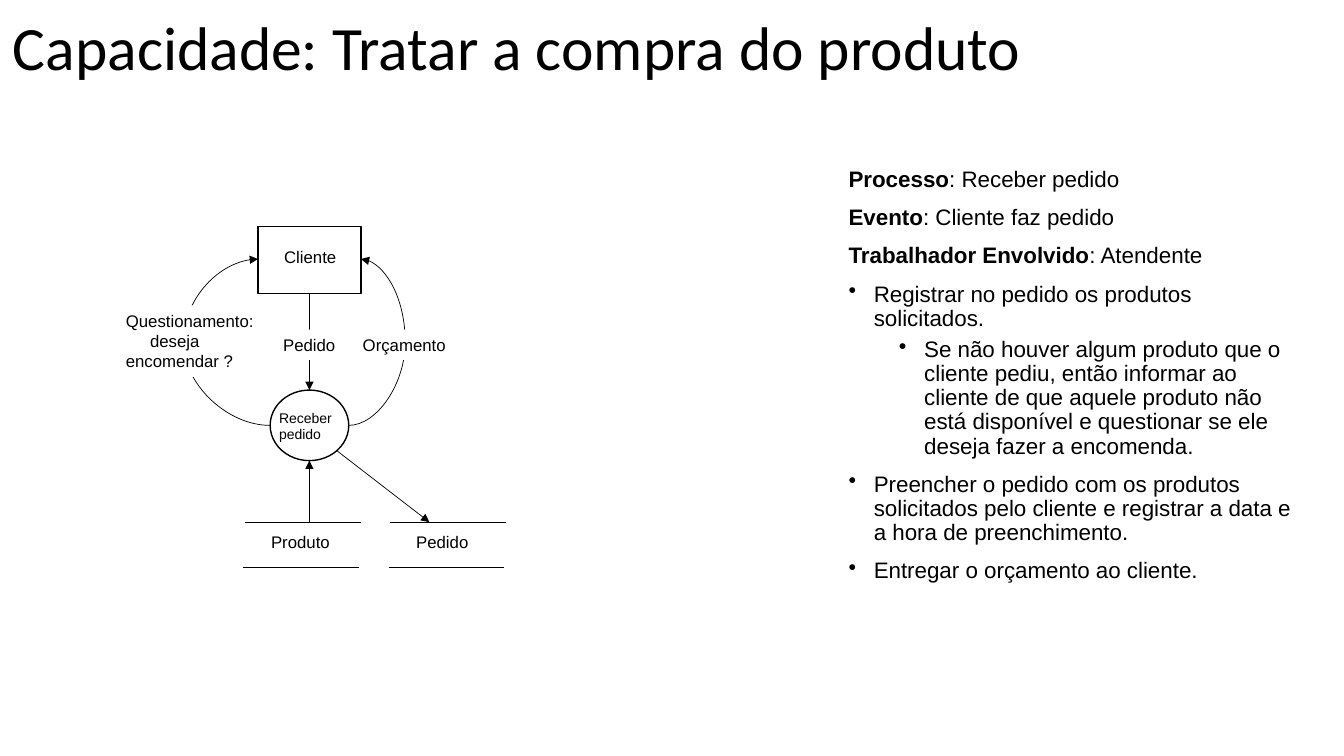
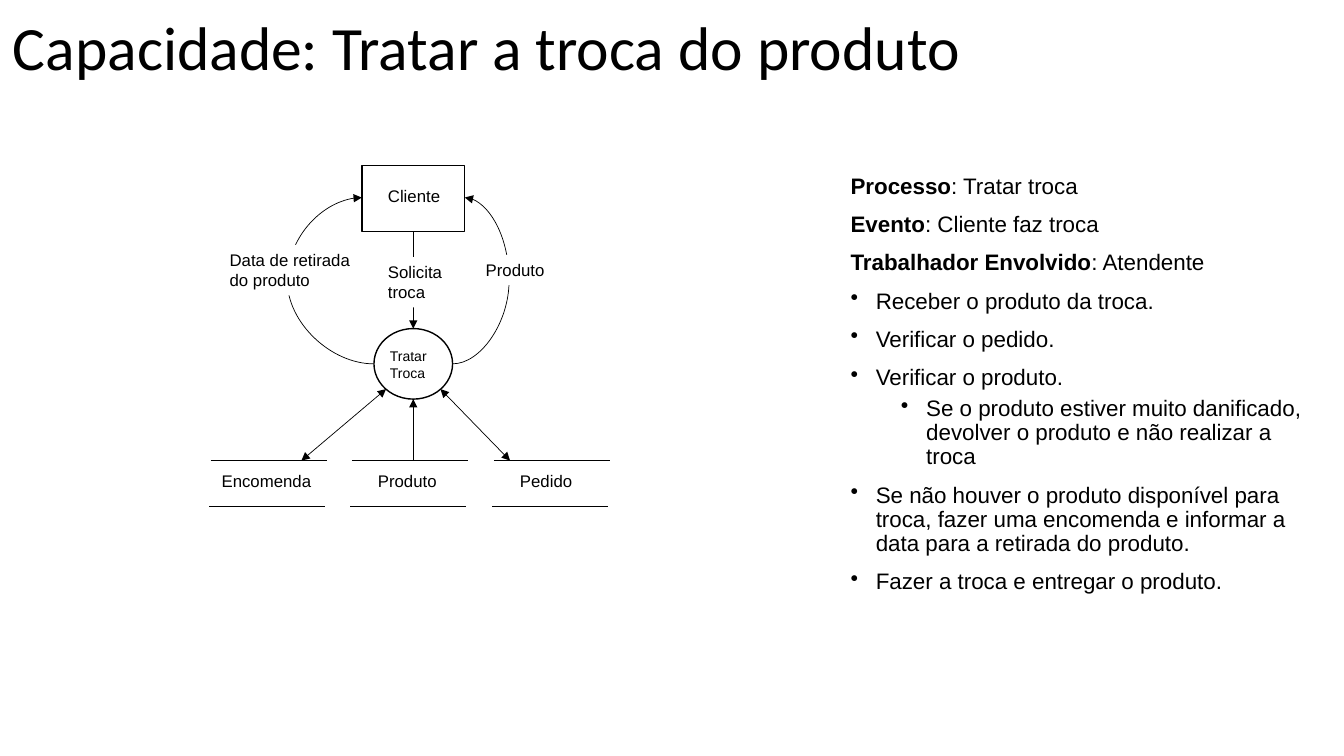
from lxml.etree import SubElement
from pptx import Presentation
from pptx.dml.color import RGBColor
from pptx.enum.shapes import MSO_CONNECTOR, MSO_SHAPE
from pptx.enum.text import MSO_ANCHOR, MSO_AUTO_SIZE, PP_ALIGN
from pptx.oxml.ns import qn
from pptx.util import Inches, Pt


def color(hex_code):
    return RGBColor.from_string(hex_code)


def grid(cells):
    """Length of a number of grid cells; columns and rows are a tenth of an inch."""
    return Inches(cells / 10)


class Deck:
    INK, PAPER = "000000", "FFFFFF"
    TITLE_FONT, BODY_FONT = "Calibri", "Arial"
    TITLE_SIZE, BODY_SIZE, LABEL_SIZE, PROCESS_SIZE = 44, 16, 12, 10
    OUTLINE, THIN = 1, 0.5

    def __init__(self):
        self.prs = Presentation()
        self.prs.slide_width, self.prs.slide_height = grid(133.33), grid(75)
        self.shapes = None
        self.origin = (0, 0)

    def new_slide(self):
        self.shapes = self.prs.slides.add_slide(self.prs.slide_layouts[6]).shapes
        self.origin = (0, 0)

    def place(self, col, row):
        return grid(self.origin[0] + col), grid(self.origin[1] + row)

    def run(self, paragraph, text, size, font=BODY_FONT, bold=False):
        run = paragraph.add_run()
        run.text = text
        run.font.name, run.font.size, run.font.bold = font, Pt(size), bold
        run.font.color.rgb = color(self.INK)

    def text_box(self, col, row, width, height):
        box = self.shapes.add_textbox(*self.place(col, row), grid(width), grid(height))
        box.text_frame.word_wrap = True
        return box

    def title(self, text):
        frame = self.text_box(0.3, 0.7, 115, 8.6).text_frame
        frame.vertical_anchor = MSO_ANCHOR.MIDDLE
        frame.paragraphs[0].line_spacing = 0.9
        self.run(frame.paragraphs[0], text, self.TITLE_SIZE, self.TITLE_FONT)

    def description(self, col, row, facts, steps):
        """Facts are (name, value) pairs; steps are (level, text) bullets."""
        frame = self.text_box(col, row, 47.4, 47.6).text_frame
        entries = [(None, fact) for fact in facts] + steps
        for index, (level, content) in enumerate(entries):
            paragraph = frame.add_paragraph() if index else frame.paragraphs[0]
            paragraph.line_spacing = 0.9
            paragraph.space_before = Pt(5 if level else 10)
            if level is None:
                name, value = content
                self.run(paragraph, name, self.BODY_SIZE, bold=True)
                self.run(paragraph, f": {value}", self.BODY_SIZE)
            else:
                paragraph.level = level
                self.indent(paragraph, 2.5 + 5 * level, -2.5)
                bullet = SubElement(paragraph._p.get_or_add_pPr(), qn("a:buChar"))
                bullet.set("char", "•")
                self.run(paragraph, content, self.BODY_SIZE)

    def indent(self, paragraph, left, first=0):
        properties = paragraph._p.get_or_add_pPr()
        properties.set("marL", str(grid(left)))
        properties.set("indent", str(grid(first)))

    def label(self, col, row, width, height, *lines, size=LABEL_SIZE,
              filled=True, align=PP_ALIGN.LEFT):
        """Lines are texts, or (text, indent) pairs."""
        box = self.text_box(col, row, width, height)
        if filled:
            box.fill.solid()
            box.fill.fore_color.rgb = color(self.PAPER)
        frame = box.text_frame
        frame.auto_size = MSO_AUTO_SIZE.SHAPE_TO_FIT_TEXT
        for index, line in enumerate(lines):
            text, left = line if isinstance(line, tuple) else (line, 0)
            paragraph = frame.add_paragraph() if index else frame.paragraphs[0]
            paragraph.alignment = align
            if left:
                self.indent(paragraph, left)
            self.run(paragraph, text, size)

    def outline(self, preset, col, row, width, height):
        shape = self.shapes.add_shape(
            preset, *self.place(col, row), grid(width), grid(height))
        shape.shadow.inherit = False
        shape.fill.background()
        shape.line.color.rgb = color(self.INK)
        shape.line.width = Pt(self.OUTLINE)

    def connector(self, kind, start, end, heads):
        connector = self.shapes.add_connector(
            kind, *self.place(*start), *self.place(*end))
        connector.line.color.rgb = color(self.INK)
        connector.line.width = Pt(self.THIN)
        for head in heads:
            SubElement(connector.line._get_or_add_ln(), qn(f"a:{head}")).set(
                "type", "triangle")
        SubElement(connector._element.spPr, qn("a:effectLst"))
        return connector

    def line(self, start, end, heads=()):
        self.connector(MSO_CONNECTOR.STRAIGHT, start, end, heads)

    def arc(self, start, end, bulge):
        """Curved arrow whose middle reaches the column given by bulge."""
        leftward = end[0] < start[0]
        ends = (end, start) if leftward else (start, end)
        connector = self.connector(MSO_CONNECTOR.CURVE, *ends, ARROW)
        if leftward:
            connector.rotation = 180
        share = (bulge - start[0]) / (end[0] - start[0])
        adjustments = connector._element.spPr.find(qn("a:prstGeom")).get_or_add_avLst()
        guide = SubElement(adjustments, qn("a:gd"))
        guide.set("name", "adj1")
        guide.set("fmla", f"val {round(share * 100000)}")

    def store(self, left, name, label_offset=1.6, label_width=9.2):
        """Data store: a name between two lines."""
        for col, row in ((left, 29.3), (left - 0.15, 33.8)):
            self.line((col, row), (col + 11.5, row))
        self.label(left + label_offset, 29.8, label_width, 3, name)

    def client_flow(self, center, top):
        """Client above a process, joined by a request and two answers.

        Later elements are placed from the middle of the client's top edge.
        """
        self.origin = (center, top)
        self.outline(MSO_SHAPE.RECTANGLE, -5.1, 0, 10.2, 6.6)
        self.outline(MSO_SHAPE.OVAL, -3.9, 16.2, 7.8, 7)
        self.line((0, 6.6), (0, 16.2), ARROW)
        for side, bulge in ((-1, 12.5), (1, 9.5)):
            self.arc((side * 3.9, 19.7), (side * 5.1, 3.2), side * bulge)
        self.label(-3.5, 1.5, 7.5, 3, "Cliente")

    def process_name(self, col, name):
        self.label(col, 17.6, 7.5, 4.4, name, size=self.PROCESS_SIZE, filled=False)


ARROW = ("tailEnd",)
BOTH_ARROWS = ("headEnd", "tailEnd")


def purchase_slide(deck):
    deck.new_slide()
    deck.title("Capacidade: Tratar a compra do produto")
    deck.description(
        83.2, 16.2,
        [("Processo", "Receber pedido"),
         ("Evento", "Cliente faz pedido"),
         ("Trabalhador Envolvido", "Atendente")],
        [(0, "Registrar no pedido os produtos solicitados."),
         (1, "Se não houver algum produto que o cliente pediu, então informar "
             "ao cliente de que aquele produto não está disponível e questionar "
             "se ele deseja fazer a encomenda."),
         (0, "Preencher o pedido com os produtos solicitados pelo cliente e "
             "registrar a data e a hora de preenchimento."),
         (0, "Entregar o orçamento ao cliente.")])
    deck.client_flow(30.7, 22.5)
    deck.process_name(-4, "Receber pedido")
    deck.label(-3.6, 10.2, 7.5, 3, "Pedido")
    deck.label(-19.2, 7.8, 15.9, 7.1,
               "Questionamento:", ("deseja", 2.4), "encomendar ?")
    deck.label(4.3, 10.2, 11.2, 3, "Orçamento")
    deck.store(-6.4, "Produto")
    deck.store(8, "Pedido")
    deck.line((0, 29.3), (0, 23.2), ARROW)
    deck.line((2.7, 22.2), (11.9, 29.3), ARROW)


def exchange_slide(deck):
    deck.new_slide()
    deck.title("Capacidade: Tratar a troca do produto")
    deck.description(
        83.4, 16.9,
        [("Processo", "Tratar troca"),
         ("Evento", "Cliente faz troca"),
         ("Trabalhador Envolvido", "Atendente")],
        [(0, "Receber o produto da troca."),
         (0, "Verificar o pedido."),
         (0, "Verificar o produto."),
         (1, "Se o produto estiver muito danificado, devolver o produto e não "
             "realizar a troca"),
         (0, "Se não houver o produto disponível para troca, fazer uma "
             "encomenda e informar a data para a retirada do produto."),
         (0, "Fazer a troca e entregar o produto.")])
    deck.client_flow(41, 16.4)
    deck.process_name(-3.3, "Tratar Troca")
    deck.label(-3.5, 9.1, 7.5, 5, "Solicita troca")
    deck.label(-19.2, 7.9, 15.9, 5, "Data de retirada do produto")
    deck.label(4.5, 8.9, 11.2, 3, "Produto", align=PP_ALIGN.CENTER)
    deck.store(-20.1, "Encomenda", label_offset=0.1, label_width=12.1)
    deck.store(-6.1, "Produto")
    deck.store(8, "Pedido")
    deck.line((0, 29.3), (0, 23.2), ARROW)
    deck.line((2.7, 22.2), (9.6, 29.3), BOTH_ARROWS)
    deck.line((-2.7, 22.2), (-11.1, 29.3), BOTH_ARROWS)


def main():
    deck = Deck()
    purchase_slide(deck)
    exchange_slide(deck)
    deck.prs.save("out.pptx")


if __name__ == "__main__":
    main()
